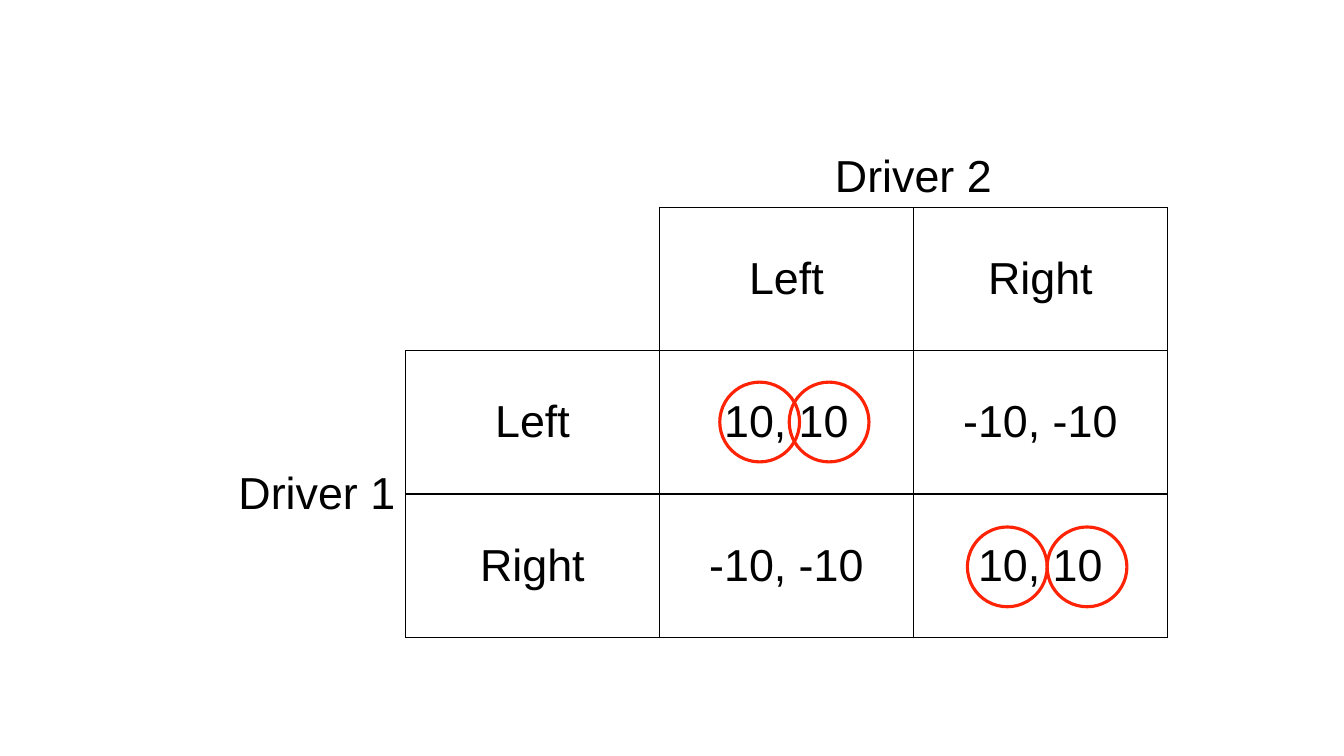
from dataclasses import dataclass

from lxml.etree import SubElement
from pptx import Presentation
from pptx.dml.color import RGBColor
from pptx.enum.shapes import MSO_SHAPE
from pptx.enum.text import MSO_ANCHOR, PP_ALIGN
from pptx.oxml.ns import qn
from pptx.slide import Slide
from pptx.table import Table, _Cell
from pptx.util import Cm, Pt

BLACK = RGBColor(0x00, 0x00, 0x00)
RED = RGBColor(0xFF, 0x23, 0x05)
FONT = "Arial"

COL_WIDTHS = (5.77, 6.4, 6.4, 6.4)
ROW_HEIGHTS = (2.21, 3.61, 3.61, 3.61)
CIRCLE_SIZE = 2.01
SIDES = {"a:lnL": (0, -1), "a:lnR": (0, 1), "a:lnT": (-1, 0), "a:lnB": (1, 0)}


@dataclass(frozen=True)
class Entry:
    row: int
    col: int
    text: str
    align: PP_ALIGN = PP_ALIGN.CENTER
    anchor: MSO_ANCHOR = MSO_ANCHOR.MIDDLE


@dataclass(frozen=True)
class Circle:
    left: float
    top: float


ENTRIES = (
    Entry(0, 2, "Driver 2", anchor=MSO_ANCHOR.BOTTOM),
    Entry(1, 2, "Left"),
    Entry(1, 3, "Right"),
    Entry(2, 0, "Driver 1", align=PP_ALIGN.RIGHT),
    Entry(2, 1, "Left"),
    Entry(2, 2, "10, 10"),
    Entry(2, 3, "-10, -10"),
    Entry(3, 1, "Right"),
    Entry(3, 2, "-10, -10"),
    Entry(3, 3, "10, 10"),
)

BEST_RESPONSES = (
    Circle(18.14, 9.63),
    Circle(24.38, 13.28),
    Circle(19.89, 9.63),
    Circle(26.39, 13.28),
)


def is_framed(row: int, col: int) -> bool:
    """Tell whether a cell belongs to the ruled part of the payoff matrix."""
    in_table = row < len(ROW_HEIGHTS) and col < len(COL_WIDTHS)
    return in_table and row >= 1 and col >= 1 and (row, col) != (1, 1)


def set_borders(cell: _Cell, row: int, col: int) -> None:
    """Rule every side that touches a framed cell and clear the others."""
    tc_pr = cell._tc.get_or_add_tcPr()
    for tag, (d_row, d_col) in SIDES.items():
        ln = SubElement(tc_pr, qn(tag), w=str(Pt(1)))
        if is_framed(row, col) or is_framed(row + d_row, col + d_col):
            fill = SubElement(ln, qn("a:solidFill"))
            SubElement(fill, qn("a:srgbClr"), val=str(BLACK))
        else:
            SubElement(ln, qn("a:noFill"))


def write_entry(table: Table, entry: Entry) -> None:
    cell = table.cell(entry.row, entry.col)
    cell.vertical_anchor = entry.anchor
    p = cell.text_frame.paragraphs[0]
    p.alignment = entry.align
    r = p.add_run()
    r.text = entry.text
    r.font.name = FONT
    r.font.size = Pt(32)
    r.font.color.rgb = BLACK


def add_payoff_table(s: Slide) -> None:
    frame = s.shapes.add_table(
        len(ROW_HEIGHTS), len(COL_WIDTHS), Cm(4.45), Cm(3.02),
        Cm(sum(COL_WIDTHS)), Cm(sum(ROW_HEIGHTS)))
    table = frame.table
    table.first_row = table.horz_banding = False
    for column, width in zip(table.columns, COL_WIDTHS):
        column.width = Cm(width)
    for i, height in enumerate(ROW_HEIGHTS):
        table.rows[i].height = Cm(height)
        for j in range(len(COL_WIDTHS)):
            cell = table.cell(i, j)
            set_borders(cell, i, j)
            cell.fill.background()
    table.cell(0, 2).merge(table.cell(0, 3))
    table.cell(2, 0).merge(table.cell(3, 0))
    for entry in ENTRIES:
        write_entry(table, entry)


def add_circle(s: Slide, circle: Circle) -> None:
    sp = s.shapes.add_shape(MSO_SHAPE.OVAL, Cm(circle.left), Cm(circle.top),
                            Cm(CIRCLE_SIZE), Cm(CIRCLE_SIZE))
    sp.shadow.inherit = False
    sp.fill.background()
    sp.line.color.rgb = RED
    sp.line.width = Pt(2.25)


def main() -> None:
    prs = Presentation()
    prs.slide_width, prs.slide_height = Cm(33.87), Cm(19.05)
    s = prs.slides.add_slide(prs.slide_layouts[6])
    add_payoff_table(s)
    for circle in BEST_RESPONSES:
        add_circle(s, circle)
    prs.save("out.pptx")


if __name__ == "__main__":
    main()
